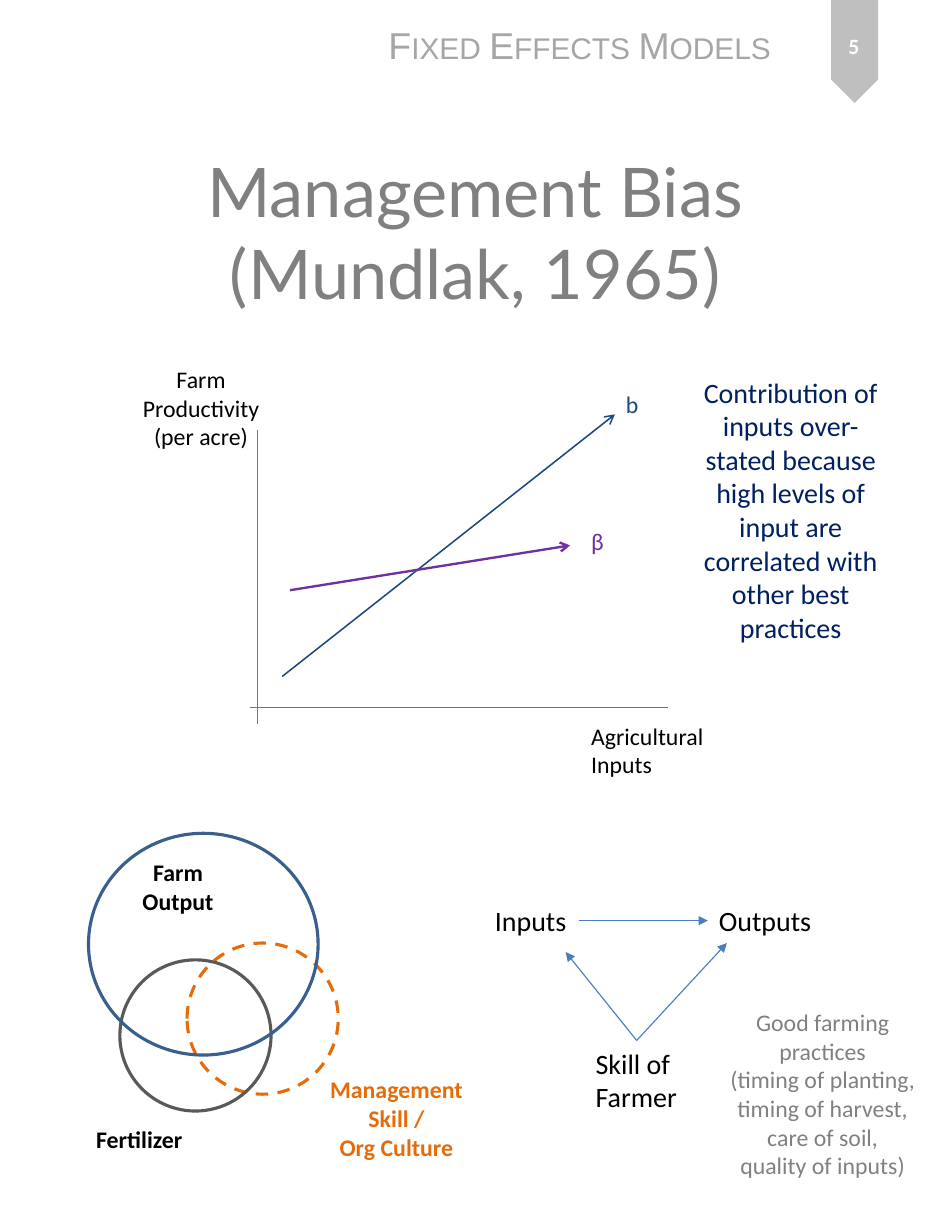
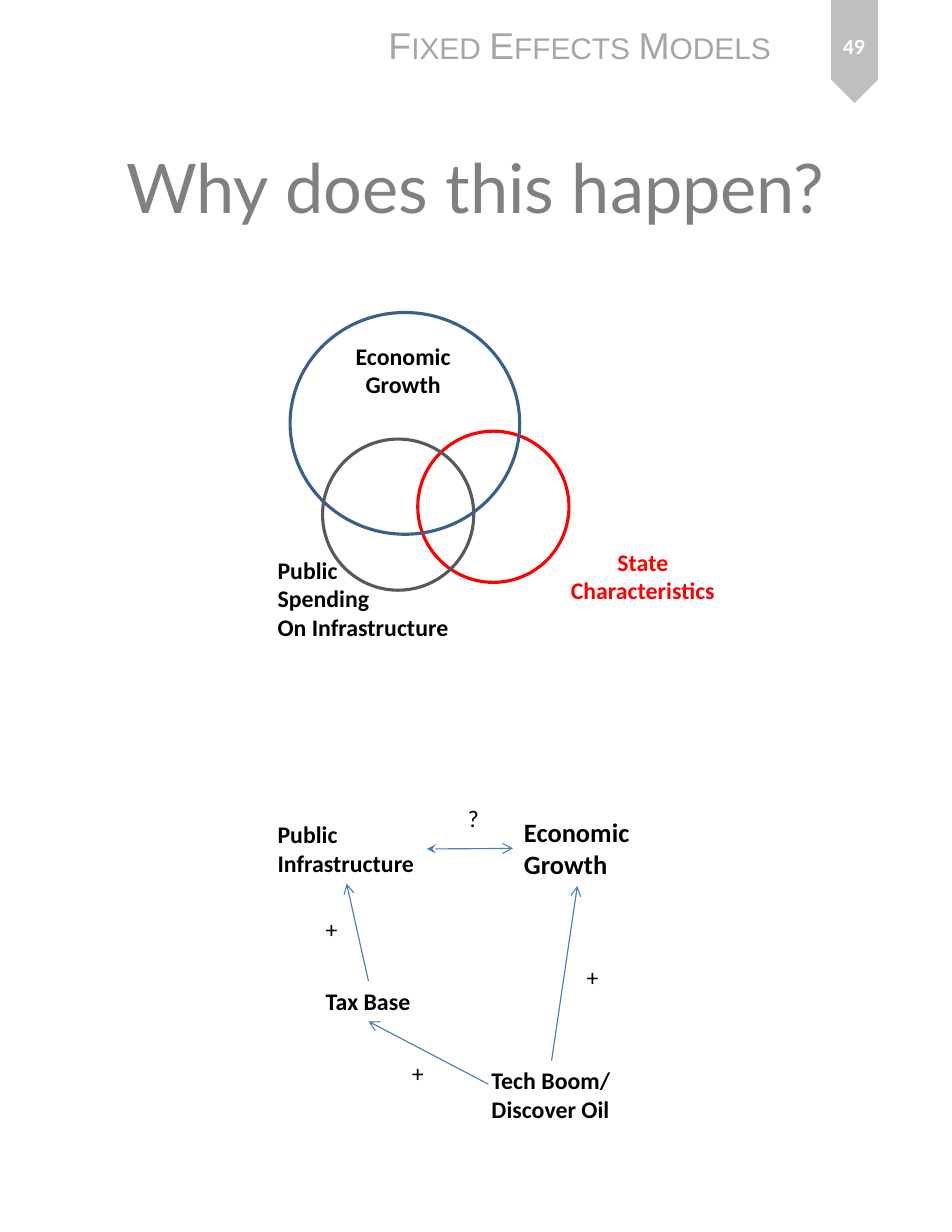
from lxml import etree
from pptx import Presentation
from pptx.dml.color import RGBColor
from pptx.enum import dml, shapes, text
from pptx.oxml import ns
from pptx.util import Inches, Pt

COLORS = {
    "band": "BFBFBF", "header": "A6A6A6", "title": "808080", "white": "FFFFFF",
    "black": "000000", "gray": "595959", "blue": "3A5F8C", "arrow": "4B7EBC",
    "navy": "1F497D", "ink": "002060", "purple": "7030A0", "orange": "E46C0A",
    "red": "FF0000",
}
TITLE = {"name": "Lato", "size": Pt(44), "bold": False}
HEADER = {"name": "Arial", "size": Pt(24), "bold": False}
NUMBER = {"name": "Calibri", "size": Pt(14), "bold": True}
LABEL = {"name": "Calibri", "size": Pt(15.3), "bold": False}
BOLD = {**LABEL, "bold": True}
LARGE = {**LABEL, "size": Pt(18)}
LARGE_BOLD = {**BOLD, "size": Pt(17)}

CENTER = text.PP_ALIGN.CENTER
LEFT = text.PP_ALIGN.LEFT
TOP, WEST, BOTTOM, EAST = range(4)
SMALL_CIRCLE = (1.35, 1.35)
LARGE_CIRCLE = (2.05, 1.98)


def rgb(color):
    return RGBColor.from_string(COLORS[color])


def write(frame, words, style, color, align):
    """Fill a frame: a list gives paragraphs, a newline gives a line break."""
    paragraphs = [words] if isinstance(words, str) else words
    for index, words_here in enumerate(paragraphs):
        paragraph = frame.add_paragraph() if index else frame.paragraphs[0]
        paragraph.text = words_here
        paragraph.alignment = align
        for run in paragraph.runs:
            for name, value in style.items():
                setattr(run.font, name, value)
            run.font.color.rgb = rgb(color)


def add_label(slide, words, box, style=LABEL, color="black", align=LEFT, wrap=False):
    label = slide.shapes.add_textbox(*map(Inches, box))
    frame = label.text_frame
    frame.word_wrap = wrap
    frame.auto_size = text.MSO_AUTO_SIZE.SHAPE_TO_FIT_TEXT
    write(frame, words, style, color, align)
    return label


def add_circle(slide, left, top, size, color, dash=None):
    circle = slide.shapes.add_shape(
        shapes.MSO_SHAPE.OVAL, *map(Inches, (left, top, *size)))
    circle.shadow.inherit = False
    circle.fill.background()
    circle.line.color.rgb = rgb(color)
    circle.line.width = Pt(2)
    circle.line.dash_style = dash


def add_line(slide, start, end, color="arrow", width=0.75, head=None, tail=None):
    """Draw a line between points or (label, side) pairs."""
    joined = [not isinstance(place[0], (int, float)) for place in (start, end)]
    points = [(0, 0) if join else tuple(map(Inches, place))
              for join, place in zip(joined, (start, end))]
    line = slide.shapes.add_connector(
        shapes.MSO_CONNECTOR.STRAIGHT, *points[0], *points[1])
    if joined[0]:
        line.begin_connect(*start)
    if joined[1]:
        line.end_connect(*end)
    line.line.color.rgb = rgb(color)
    line.line.width = Pt(width)
    properties = line._element.spPr
    outline = properties.find(ns.qn("a:ln"))
    for tag, arrow in (("a:headEnd", head), ("a:tailEnd", tail)):
        if arrow:
            etree.SubElement(outline, ns.qn(tag), type=arrow)
    etree.SubElement(properties, ns.qn("a:effectLst"))


def add_page(deck, title, title_top, number):
    """Add a slide with its title, running header and numbered ribbon."""
    slide = deck.slides.add_slide(deck.slide_layouts[5])
    heading = slide.shapes.title
    place = {"left": 0.42, "top": title_top, "width": 7.65, "height": 1.83}
    for name, value in place.items():
        setattr(heading, name, Inches(value))
    frame = heading.text_frame
    frame.word_wrap = True
    frame.auto_size = text.MSO_AUTO_SIZE.NONE
    frame.vertical_anchor = text.MSO_ANCHOR.MIDDLE
    write(frame, title, TITLE, "title", CENTER)

    ribbon = slide.shapes.add_shape(
        shapes.MSO_SHAPE.PENTAGON, *map(Inches, (7.17, 0.25, 0.92, 0.42)))
    ribbon.rotation = 90
    ribbon.shadow.inherit = False
    ribbon.fill.solid()
    ribbon.fill.fore_color.rgb = rgb("band")
    ribbon.line.fill.background()

    header = add_label(slide, "Fixed Effects Models", (3.37, 0.15, 3.68, 0.5),
                       HEADER, "header")
    run = header.text_frame.paragraphs[0].runs[0]
    run.font._element.set("cap", "small")

    page = add_label(slide, number, (7.29, 0.11, 0.67, 0.59),
                     NUMBER, "white", CENTER, wrap=True)
    page.text_frame.auto_size = text.MSO_AUTO_SIZE.NONE
    page.text_frame.vertical_anchor = text.MSO_ANCHOR.MIDDLE
    return slide


def add_productivity_graph(slide):
    add_line(slide, (2.3, 3.84), (2.3, 6.46))
    add_line(slide, (5.96, 6.32), (2.23, 6.32))
    add_label(slide, "Agricultural\nInputs", (5.18, 6.39, 1.26, 0.62))
    add_label(slide, "Farm\nProductivity\n(per acre)", (1.17, 3.21, 1.25, 0.87),
              align=CENTER)
    add_line(slide, (2.52, 6.04), (5.49, 3.7), "navy", 1, tail="arrow")
    add_line(slide, (2.59, 5.27), (5.09, 4.87), "purple", 1.5, tail="arrow")
    add_label(slide, "b", (5.49, 3.43, 0.31, 0.36), color="navy")
    add_label(slide, "β", (5.18, 4.65, 0.32, 0.36), color="purple")


def add_farm_venn(slide):
    add_circle(slide, 1.67, 8.42, SMALL_CIRCLE, "orange", dml.MSO_LINE.DASH)
    add_circle(slide, 1.07, 8.57, SMALL_CIRCLE, "gray")
    add_circle(slide, 0.79, 7.44, LARGE_CIRCLE, "blue")
    add_label(slide, "Farm\nOutput", (1.17, 7.61, 0.84, 0.62), BOLD, align=CENTER)
    add_label(slide, ["Management", "Skill /\nOrg Culture"],
              (2.84, 9.55, 1.4, 0.87), BOLD, "orange", CENTER)
    add_label(slide, "Fertilizer", (0.76, 9.99, 0.98, 0.36), BOLD)


def add_farm_causes(slide):
    inputs = add_label(slide, "Inputs", (4.32, 8.02, 0.85, 0.4), LARGE)
    outputs = add_label(slide, "Outputs", (6.32, 8.02, 1.03, 0.4), LARGE)
    skill = add_label(slide, ["Skill of", "Farmer"], (5.22, 9.29, 0.93, 0.71), LARGE)
    add_line(slide, (inputs, EAST), (outputs, WEST), tail="triangle")
    for target in ((6.49, 8.42), (5.05, 8.5)):
        add_line(slide, (skill, TOP), target, tail="triangle")
    add_label(slide, ["Good farming\npractices\n(timing of planting,",
                      "timing of harvest,\ncare of soil,\nquality of inputs)"],
              (6.39, 8.95, 1.91, 1.65), color="title", align=CENTER)


def add_growth_venn(slide):
    add_circle(slide, 3.73, 3.85, SMALL_CIRCLE, "red")
    add_circle(slide, 2.88, 3.92, SMALL_CIRCLE, "gray")
    add_circle(slide, 2.59, 2.79, LARGE_CIRCLE, "blue")
    add_label(slide, "Economic\nGrowth", (3.07, 3, 1.06, 0.62), BOLD, align=CENTER)
    add_label(slide, "State\nCharacteristics", (4.99, 4.84, 1.5, 0.62),
              BOLD, "red", CENTER)
    add_label(slide, ["Public\nSpending", "On Infrastructure"],
              (2.38, 4.91, 1.74, 0.87), BOLD)


def add_growth_causes(slide):
    growth = add_label(slide, "Economic\nGrowth", (4.58, 7.24, 1.15, 0.67), LARGE_BOLD)
    public = add_label(slide, "Public\nInfrastructure", (2.38, 7.27, 1.43, 0.62), BOLD)
    taxes = add_label(slide, "Tax Base", (2.81, 8.76, 0.96, 0.36), BOLD)
    boom = add_label(slide, "Tech Boom/\nDiscover Oil", (4.29, 9.47, 1.27, 0.62), BOLD)
    add_line(slide, (public, EAST), (growth, WEST), head="stealth", tail="arrow")
    add_line(slide, (growth, BOTTOM), (boom, TOP), head="arrow")
    add_line(slide, (public, BOTTOM), (taxes, TOP), head="arrow")
    add_line(slide, (taxes, BOTTOM), (4.36, 9.68), head="arrow")
    add_label(slide, "?", (4.08, 7.13, 0.3, 0.36))
    for left, top in ((5.14, 8.55), (3.58, 9.4), (2.81, 8.12)):
        add_label(slide, "+", (left, top, 0.31, 0.36))


def main():
    deck = Presentation()
    deck.slide_width, deck.slide_height = Inches(8.5), Inches(11)

    bias = add_page(deck, "Management Bias (Mundlak, 1965)", 1.15, "5")
    add_farm_venn(bias)
    add_productivity_graph(bias)
    add_farm_causes(bias)
    add_label(bias, "Contribution of inputs over-stated because high levels of "
                    "input are correlated with other best practices",
              (6.17, 3.3, 1.78, 2.52), LARGE, "ink", CENTER, wrap=True)

    reasons = add_page(deck, "Why does this happen?", 0.75, "49")
    add_growth_venn(reasons)
    add_growth_causes(reasons)

    deck.save("out.pptx")


if __name__ == "__main__":
    main()
